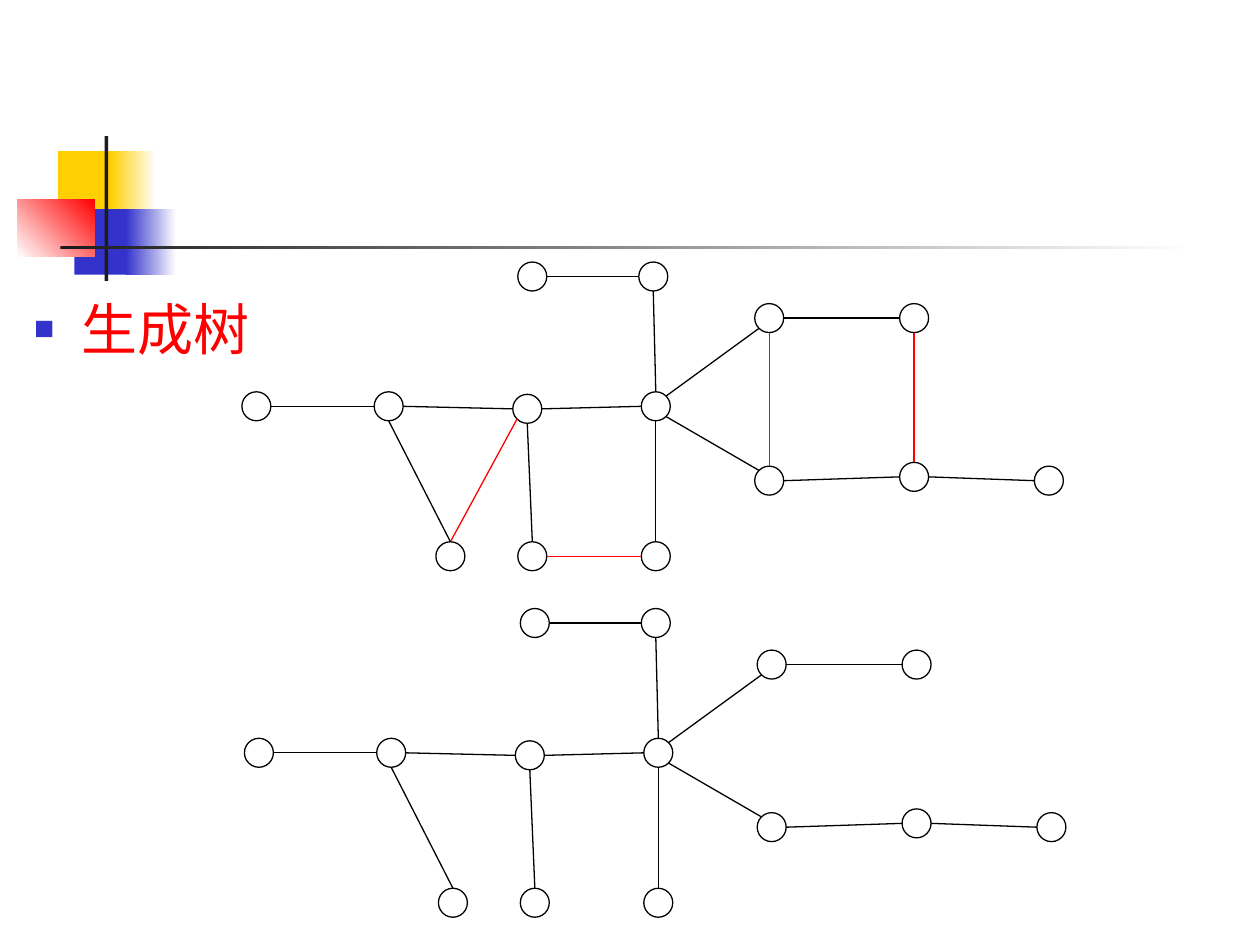
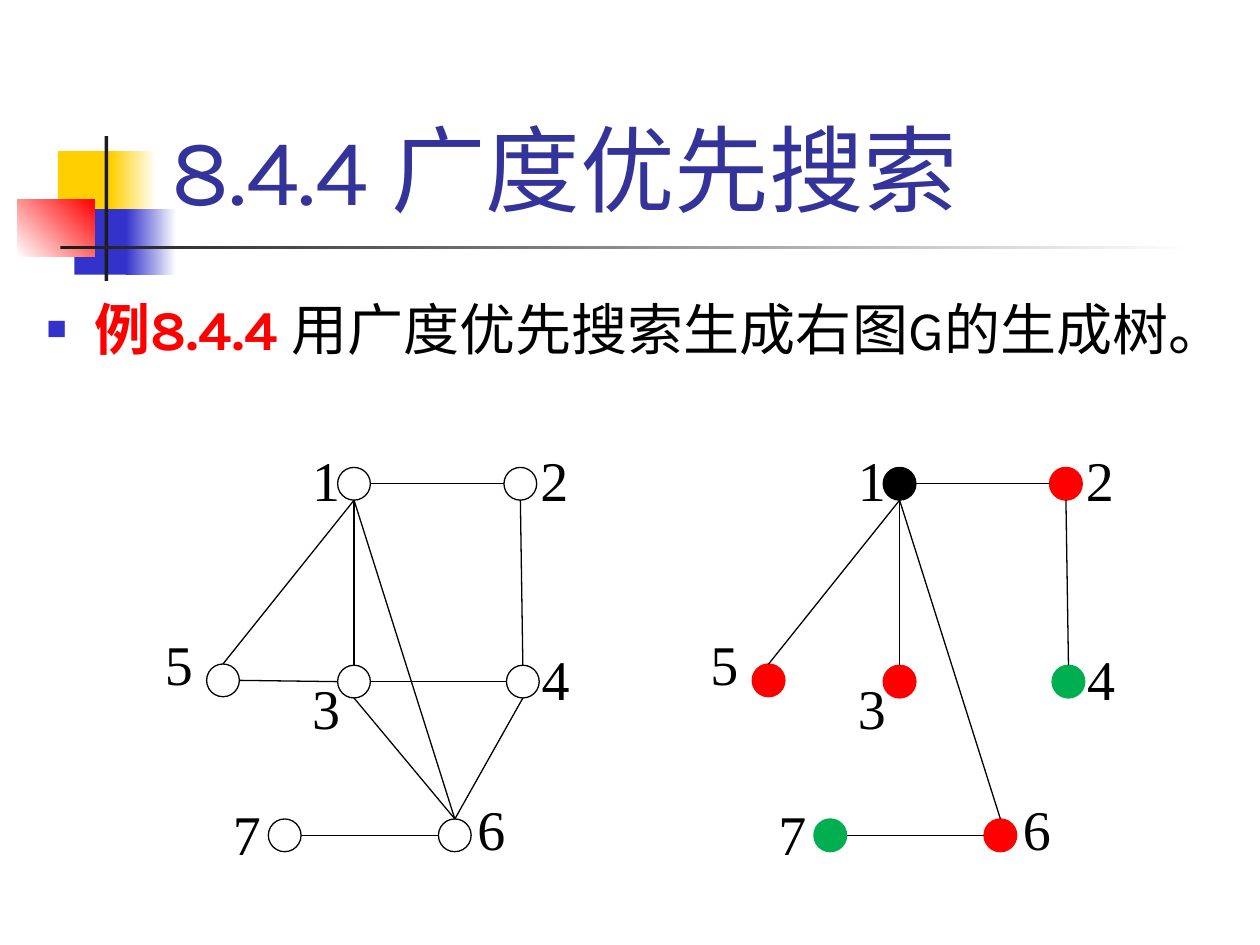
from dataclasses import dataclass
from typing import Any, NamedTuple

from lxml.etree import SubElement
from pptx import Presentation
from pptx.dml.color import RGBColor
from pptx.enum.shapes import MSO_CONNECTOR, MSO_SHAPE
from pptx.enum.text import MSO_ANCHOR, MSO_AUTO_SIZE, PP_ALIGN
from pptx.oxml.ns import qn
from pptx.util import Inches, Pt

WHITE, BLACK, RED, GREEN = "FFFFFF", "000000", "FF0000", "00B050"
YELLOW, BLUE, CHARCOAL, TITLE_BLUE = "FFCF01", "3333CC", "1C1C1C", "333399"
HEADING_FONT, LABEL_FONT = "Karla", "Times New Roman"
LINE_WIDTH = Pt(0.75)
LABEL_SIZE = (0.87, 0.76)

DIAGONAL = 0.71
SIDES = {
    "top": (0, -1), "left": (-1, 0), "bottom": (0, 1), "right": (1, 0),
    "top_left": (-DIAGONAL, -DIAGONAL), "top_right": (DIAGONAL, -DIAGONAL),
    "bottom_left": (-DIAGONAL, DIAGONAL), "bottom_right": (DIAGONAL, DIAGONAL),
}


class Band(NamedTuple):
    left: float
    top: float
    width: float
    height: float
    start: str
    end: str | None = None
    angle: int = 0


class Edge(NamedTuple):
    start: str
    start_side: str
    end: str
    end_side: str
    in_tree: bool = True


class TextRun(NamedTuple):
    text: str
    color: str
    bold: bool = False


@dataclass
class Graph:
    diameter: float
    nodes: dict[str, tuple[float, float]]
    edges: list[Edge]
    labels: dict[str, tuple[float, float]]


BANDS = [
    Band(0.46, 1.2, 0.48, 0.52, YELLOW),
    Band(0.88, 1.2, 0.36, 0.52, YELLOW, WHITE),
    Band(0.59, 1.66, 0.46, 0.52, BLUE),
    Band(1, 1.66, 0.4, 0.52, BLUE, WHITE),
    Band(0.14, 1.58, 0.61, 0.46, WHITE, RED, 45),
    Band(0.83, 1.08, 0.03, 1.15, CHARCOAL),
    Band(0.48, 1.95, 9, 0.03, CHARCOAL, WHITE),
]

SPANNING_GRAPH = Graph(
    diameter=0.23,
    nodes={
        "a": (1.92, 3.11), "b": (2.97, 3.11), "c": (4.07, 3.13), "d": (5.09, 3.11),
        "e": (4.11, 2.08), "f": (5.07, 2.08), "g": (5.99, 2.41), "h": (7.14, 2.41),
        "i": (5.99, 3.7), "j": (7.14, 3.67), "k": (8.21, 3.7),
        "l": (3.46, 4.3), "m": (4.11, 4.3), "n": (5.09, 4.3),
    },
    edges=[
        Edge("e", "right", "f", "left"),
        Edge("f", "bottom", "d", "top"),
        Edge("d", "bottom", "n", "top"),
        Edge("d", "left", "c", "right"),
        Edge("c", "bottom", "m", "top"),
        Edge("m", "right", "n", "left", False),
        Edge("c", "bottom_left", "l", "top", False),
        Edge("b", "bottom", "l", "top"),
        Edge("b", "left", "a", "right"),
        Edge("d", "top_right", "g", "bottom_left"),
        Edge("d", "bottom_right", "i", "top_left"),
        Edge("g", "right", "h", "left"),
        Edge("i", "right", "j", "left"),
        Edge("g", "bottom", "i", "top", False),
        Edge("h", "bottom", "j", "top", False),
        Edge("j", "right", "k", "left"),
        Edge("b", "right", "c", "left"),
    ],
    labels={},
)

SEARCH_GRAPH = Graph(
    diameter=0.26,
    nodes={
        "1": (2.68, 3.71), "2": (4, 3.71), "3": (2.68, 5.28), "4": (4.02, 5.28),
        "5": (1.64, 5.27), "6": (3.48, 6.5), "7": (2.13, 6.5),
    },
    edges=[
        Edge("5", "right", "3", "left", False),
        Edge("3", "right", "4", "left", False),
        Edge("1", "right", "2", "left"),
        Edge("1", "bottom", "5", "top"),
        Edge("2", "bottom", "4", "top"),
        Edge("1", "bottom", "3", "top"),
        Edge("7", "right", "6", "left"),
        Edge("6", "top", "4", "bottom", False),
        Edge("6", "top", "3", "bottom", False),
        Edge("6", "top", "1", "bottom"),
    ],
    labels={
        "7": (1.75, 6.3), "6": (3.69, 6.26), "2": (4.19, 3.49), "4": (4.2, 5.07),
        "3": (2.38, 5.3), "1": (2.38, 3.49), "5": (1.21, 4.95),
    },
)
SEARCH_LEVELS = {"1": BLACK, "2": RED, "3": RED, "5": RED, "6": RED, "4": GREEN, "7": GREEN}


def color(value: str) -> RGBColor:
    return RGBColor.from_string(value)


def apply_format(target: Any, values: dict[str, Any]) -> None:
    for name, value in values.items():
        setattr(target, name, value)


def place(shape: Any, left: float, top: float, width: float, height: float) -> None:
    apply_format(shape, {"left": Inches(left), "top": Inches(top),
                         "width": Inches(width), "height": Inches(height)})


def add_run(paragraph: Any, text: str, font_name: str, size: int, hue: str,
            bold: bool = False) -> None:
    run = paragraph.add_run()
    run.text = text
    apply_format(run.font, {"name": font_name, "size": Pt(size), "bold": bold})
    run.font.color.rgb = color(hue)


def add_filled_shape(shapes: Any, kind: MSO_SHAPE, left: float, top: float, width: float,
                     height: float, fill: str, line: str | None = None) -> Any:
    shape = shapes.add_shape(kind, Inches(left), Inches(top), Inches(width), Inches(height))
    shape.shadow.inherit = False
    shape.fill.solid()
    shape.fill.fore_color.rgb = color(fill)
    if line is None:
        shape.line.fill.background()
    else:
        shape.line.color.rgb = color(line)
        shape.line.width = LINE_WIDTH
    return shape


def add_bands_to_master(presentation: Any, slide: Any) -> None:
    master_tree = presentation.slide_master.element.cSld.spTree
    for index, band in enumerate(BANDS):
        shape = add_filled_shape(slide.shapes, MSO_SHAPE.RECTANGLE, band.left, band.top,
                                 band.width, band.height, band.start)
        if band.end is not None:
            shape.fill.gradient()
            shape.fill.gradient_angle = band.angle
            for stop, hue, position in zip(shape.fill.gradient_stops,
                                           (band.start, band.end), (0, 1)):
                stop.color.rgb = color(hue)
                stop.position = position
        shape.element.nvSpPr.cNvPr.set("id", str(100 + index))
        master_tree.insert(2 + index, shape.element)


def add_bullet(paragraph: Any) -> None:
    properties = paragraph._p.get_or_add_pPr()
    properties.set("marL", str(Inches(0.38)))
    properties.set("indent", str(Inches(-0.38)))
    bullet_color = SubElement(properties, qn("a:buClr"))
    SubElement(bullet_color, qn("a:srgbClr"), val=BLUE)
    SubElement(properties, qn("a:buSzPct"), val="60000")
    SubElement(properties, qn("a:buChar"), char="■")


def fill_title(slide: Any, text: str) -> None:
    title = slide.shapes.title
    place(title, 1.26, 0.23, 8.52, 1.6)
    apply_format(title.text_frame, {"vertical_anchor": MSO_ANCHOR.BOTTOM, "word_wrap": True,
                                    "auto_size": MSO_AUTO_SIZE.NONE})
    paragraph = title.text_frame.paragraphs[0]
    paragraph.alignment = PP_ALIGN.LEFT
    add_run(paragraph, text, HEADING_FONT, 54, TITLE_BLUE)


def fill_body(slide: Any, box: tuple[float, float, float, float], runs: list[TextRun]) -> None:
    body = slide.placeholders[1]
    place(body, *box)
    apply_format(body.text_frame, {"vertical_anchor": MSO_ANCHOR.TOP, "word_wrap": True,
                                   "auto_size": MSO_AUTO_SIZE.NONE})
    paragraph = body.text_frame.paragraphs[0]
    add_bullet(paragraph)
    apply_format(paragraph, {"line_spacing": 1.5, "space_before": Pt(0)})
    for run in runs:
        add_run(paragraph, run.text, HEADING_FONT, 32, run.color, run.bold)


def add_label(shapes: Any, text: str, left: float, top: float) -> None:
    label = add_filled_shape(shapes, MSO_SHAPE.RECTANGLE, left, top, *LABEL_SIZE, WHITE, WHITE)
    label.text_frame.vertical_anchor = MSO_ANCHOR.TOP
    paragraph = label.text_frame.paragraphs[0]
    paragraph.alignment = PP_ALIGN.LEFT
    add_run(paragraph, text, LABEL_FONT, 32, BLACK)


def add_edge(shapes: Any, start: tuple[float, float], end: tuple[float, float],
             hue: str) -> None:
    connector = shapes.add_connector(MSO_CONNECTOR.STRAIGHT,
                                     *(Inches(value) for value in (*start, *end)))
    connector.line.color.rgb = color(hue)
    connector.line.width = LINE_WIDTH
    SubElement(connector.element.spPr, qn("a:effectLst"))


def draw_graph(slide: Any, graph: Graph, shift: tuple[float, float] = (0, 0),
               tree_only: bool = False, chord_color: str = BLACK,
               node_colors: dict[str, str] | None = None) -> None:
    shapes = slide.shapes.add_group_shape().shapes
    shift_x, shift_y = shift
    radius = graph.diameter / 2

    def anchor(node: str, side: str) -> tuple[float, float]:
        left, top = graph.nodes[node]
        across, down = SIDES[side]
        return (left + shift_x + radius * (1 + across), top + shift_y + radius * (1 + down))

    for text, (left, top) in graph.labels.items():
        add_label(shapes, text, left + shift_x, top + shift_y)
    for node, (left, top) in graph.nodes.items():
        fill, line = (node_colors[node],) * 2 if node_colors else (WHITE, BLACK)
        add_filled_shape(shapes, MSO_SHAPE.OVAL, left + shift_x, top + shift_y,
                         graph.diameter, graph.diameter, fill, line)
    for edge in graph.edges:
        if edge.in_tree or not tree_only:
            add_edge(shapes, anchor(edge.start, edge.start_side),
                     anchor(edge.end, edge.end_side), BLACK if edge.in_tree else chord_color)


def build_spanning_tree_slide(slide: Any) -> None:
    title = slide.shapes.title.element
    title.getparent().remove(title)
    fill_body(slide, (0.17, 2.02, 9.72, 5.36), [TextRun("生成树", RED)])
    draw_graph(slide, SPANNING_GRAPH, chord_color=RED)
    draw_graph(slide, SPANNING_GRAPH, shift=(0.02, 2.75), tree_only=True)


def build_search_slide(slide: Any) -> None:
    fill_title(slide, "8.4.4 广度优先搜索")
    fill_body(slide, (0.27, 2.02, 9.73, 5.48), [
        TextRun("例8.4.4 ", RED, True),
        TextRun("用广度优先搜索生成右图G的生成树。", BLACK),
    ])
    draw_graph(slide, SEARCH_GRAPH)
    draw_graph(slide, SEARCH_GRAPH, shift=(4.33, 0), tree_only=True, node_colors=SEARCH_LEVELS)


def main() -> None:
    presentation = Presentation()
    apply_format(presentation, {"slide_width": Inches(10), "slide_height": Inches(7.5)})
    layout = presentation.slide_layouts[1]
    tree_slide, search_slide = (presentation.slides.add_slide(layout) for _ in range(2))
    add_bands_to_master(presentation, tree_slide)
    build_spanning_tree_slide(tree_slide)
    build_search_slide(search_slide)
    presentation.save("out.pptx")


if __name__ == "__main__":
    main()
